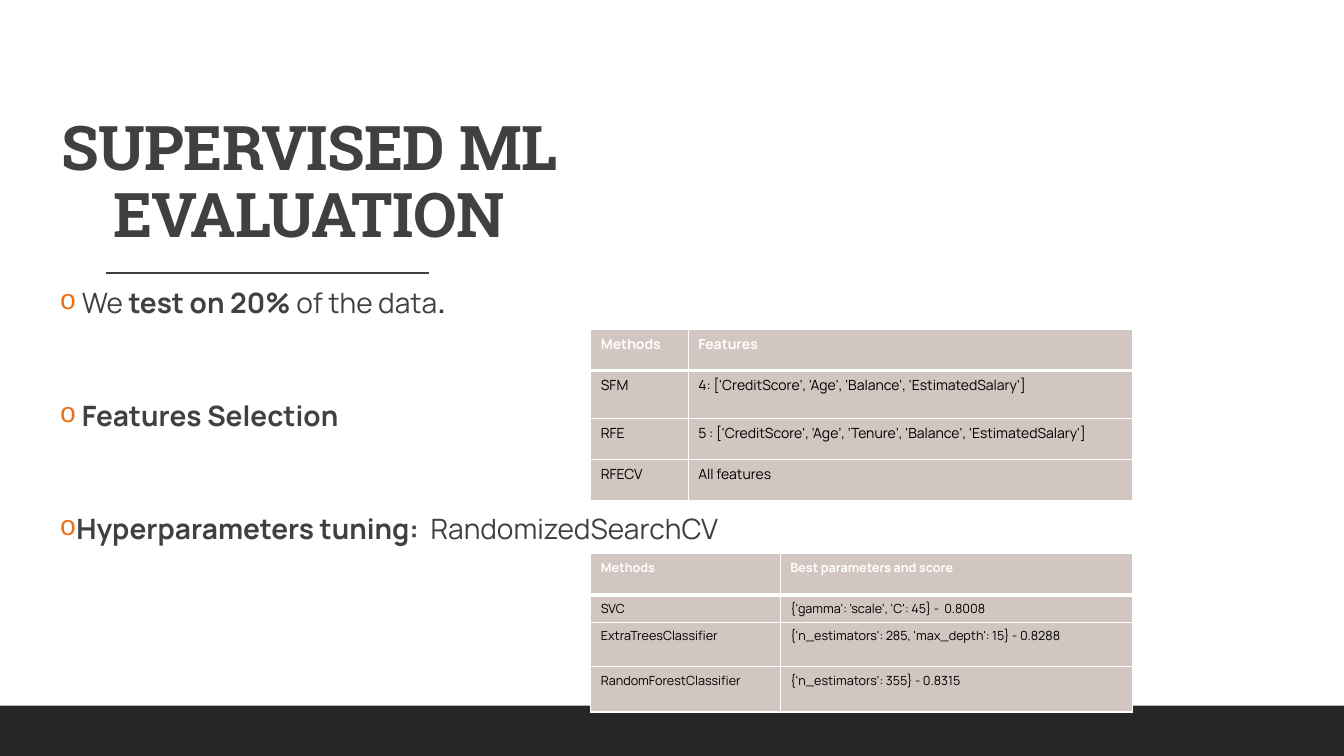
from lxml import etree
from pptx import Presentation
from pptx import util as u
from pptx.dml.color import RGBColor
from pptx.enum import shapes, text
from pptx.oxml.ns import qn

COLOURS = {"white": "FFFFFF", "ink": "404040", "bullet": "EC7016",
           "footer": "262626", "cell": "D2C6C1", "black": "000000"}
HEAD_FONT, BODY_FONT, BULLET_FONT = "Roboto Slab", "Manrope", "Courier New"
WIDTH, HEIGHT = u.Inches(13.33), u.Inches(7.5)


def share(left, top, width, height):
    """Turn percentages of the slide into a box."""
    return [int(side * part / 100) for side, part in
            zip((WIDTH, HEIGHT, WIDTH, HEIGHT), (left, top, width, height))]


def colour(name):
    return RGBColor.from_string(COLOURS[name])


def paint(fill, name):
    fill.solid()
    fill.fore_color.rgb = colour(name)


def add_span(para, words, size, ink, bold=False, font=BODY_FONT):
    span = para.add_run()
    span.text = words
    span.font.name, span.font.size, span.font.bold = font, u.Pt(size), bold
    span.font.color.rgb = colour(ink)
    return span


def add_band(page, box, fill):
    band = page.shapes.add_shape(shapes.MSO_SHAPE.RECTANGLE, *box)
    band.shadow.inherit = False
    paint(band.fill, fill)
    band.line.fill.background()


def add_title(page, box, words):
    frame = page.shapes.add_textbox(*box).text_frame
    frame.word_wrap = True
    frame.vertical_anchor = text.MSO_ANCHOR.BOTTOM
    para = frame.paragraphs[0]
    para.alignment = text.PP_ALIGN.CENTER
    para.line_spacing = 0.9
    span = add_span(para, words, 44, "ink", True, HEAD_FONT)
    span.font._element.set("spc", "-50")


def add_rule(page, box):
    left, top, width, height = box
    rule = page.shapes.add_connector(shapes.MSO_CONNECTOR.STRAIGHT,
                                     left, top, left + width, top + height)
    rule.line.color.rgb = colour("ink")
    rule.line.width = u.Pt(1)
    etree.SubElement(rule._element.spPr, qn("a:effectLst"))


def add_bullet(para):
    props = para._p.get_or_add_pPr()
    props.set("marL", str(u.Inches(0.1)))
    props.set("indent", str(-u.Inches(0.1)))
    tint = etree.SubElement(props, qn("a:buClr"))
    etree.SubElement(tint, qn("a:srgbClr"), val=COLOURS["bullet"])
    etree.SubElement(props, qn("a:buFont"), typeface=BULLET_FONT)
    etree.SubElement(props, qn("a:buChar"), char="o")


def add_points(page, box, points):
    frame = page.shapes.add_textbox(*box).text_frame
    frame.word_wrap = True
    frame.margin_left = frame.margin_right = 0
    for index, spans in enumerate(points):
        para = frame.add_paragraph() if index else frame.paragraphs[0]
        add_bullet(para)
        para.line_spacing = 1.1
        para.space_before = u.Pt(52.2 if index else 0)
        para.space_after = u.Pt(2)
        for words, bold in spans:
            add_span(para, words, 20, "ink", bold)


def add_borders(cell, widths):
    props = cell._tc.get_or_add_tcPr()
    for side, points in zip("LRTB", widths):
        edge = etree.SubElement(props, qn("a:ln" + side), w=str(u.Pt(points)))
        fill = etree.SubElement(edge, qn("a:solidFill"))
        etree.SubElement(fill, qn("a:srgbClr"), val=COLOURS["white"])


def add_grid(page, box, column_parts, row_parts, rows, size):
    grid = page.shapes.add_table(len(rows), len(column_parts), *box).table
    for column, part in zip(grid.columns, column_parts):
        column.width = int(box[2] * part / sum(column_parts))
    for row, part in zip(grid.rows, row_parts):
        row.height = int(box[3] * part / sum(row_parts))
    for r, row in enumerate(rows):
        for c, words in enumerate(row):
            cell = grid.cell(r, c)
            # A heavy edge parts the header from the rows below
            add_borders(cell, (1, 1, 1, 1 if r else 3))
            paint(cell.fill, "cell")
            add_span(cell.text_frame.paragraphs[0], words, size,
                     "black" if r else "white", r == 0)


def add_evaluation_slide(deck):
    page = deck.slides.add_slide(deck.slide_layouts[6])
    # Background, heading and rule
    paint(page.background.fill, "white")
    add_title(page, share(1.95, 9.4, 42.09, 24.4), "SUPERVISED ML EVALUATION")
    add_rule(page, share(7.88, 36.13, 24.05, 0))
    # Bullet points
    add_points(page, share(4.43, 36.67, 89.57, 47.07), [
        [(" We ", False), ("test on 20% ", True),
         ("of the data", False), (".", True)],
        [(" Features Selection", True)],
        [("Hyperparameters tuning:  ", True), ("RandomizedSearchCV", False)],
    ])
    # Footer band, which the lower table overlaps
    add_band(page, share(0, 93.33, 100, 6.67), "footer")
    # Feature selection table
    add_grid(page, share(43.96, 43.6, 40.29, 22.6), (18, 82), (41, 48, 41, 41), [
        ("Methods", "Features"),
        ("SFM", "4: ['CreditScore', 'Age', 'Balance', 'EstimatedSalary']"),
        ("RFE", "5 : ['CreditScore', 'Age’, ‘Tenure’, 'Balance', 'EstimatedSalary']"),
        ("RFECV", "All features"),
    ], 10)
    # Tuning table
    add_grid(page, share(43.96, 73.25, 40.29, 20.93), (35, 65), (41, 27, 44, 45), [
        ("Methods", "Best parameters and score"),
        ("SVC", "{'gamma': 'scale', 'C': 45} -  0.8008"),
        ("ExtraTreesClassifier", "{'n_estimators': 285, 'max_depth': 15} - 0.8288"),
        ("RandomForestClassifier", "{'n_estimators': 355} - 0.8315"),
    ], 9)


def main():
    deck = Presentation()
    deck.slide_width, deck.slide_height = WIDTH, HEIGHT
    add_evaluation_slide(deck)
    deck.save("out.pptx")


if __name__ == "__main__":
    main()
